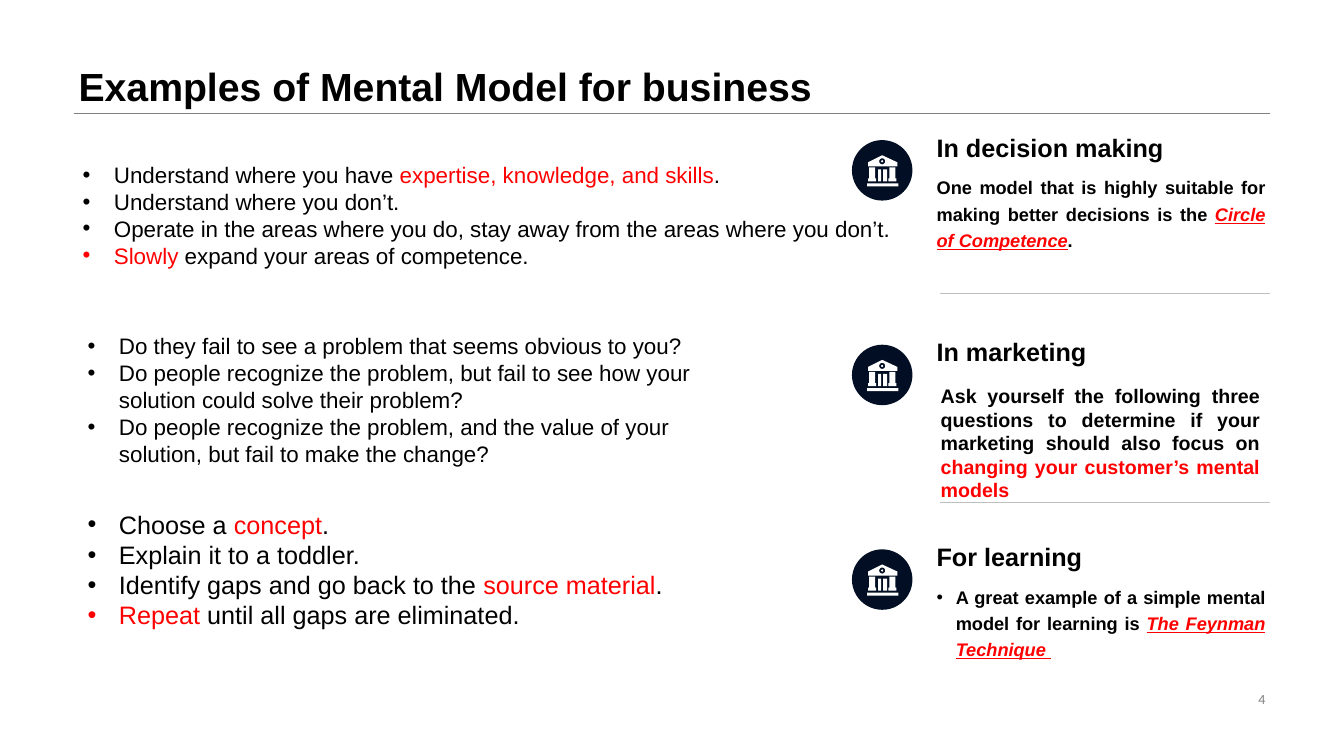
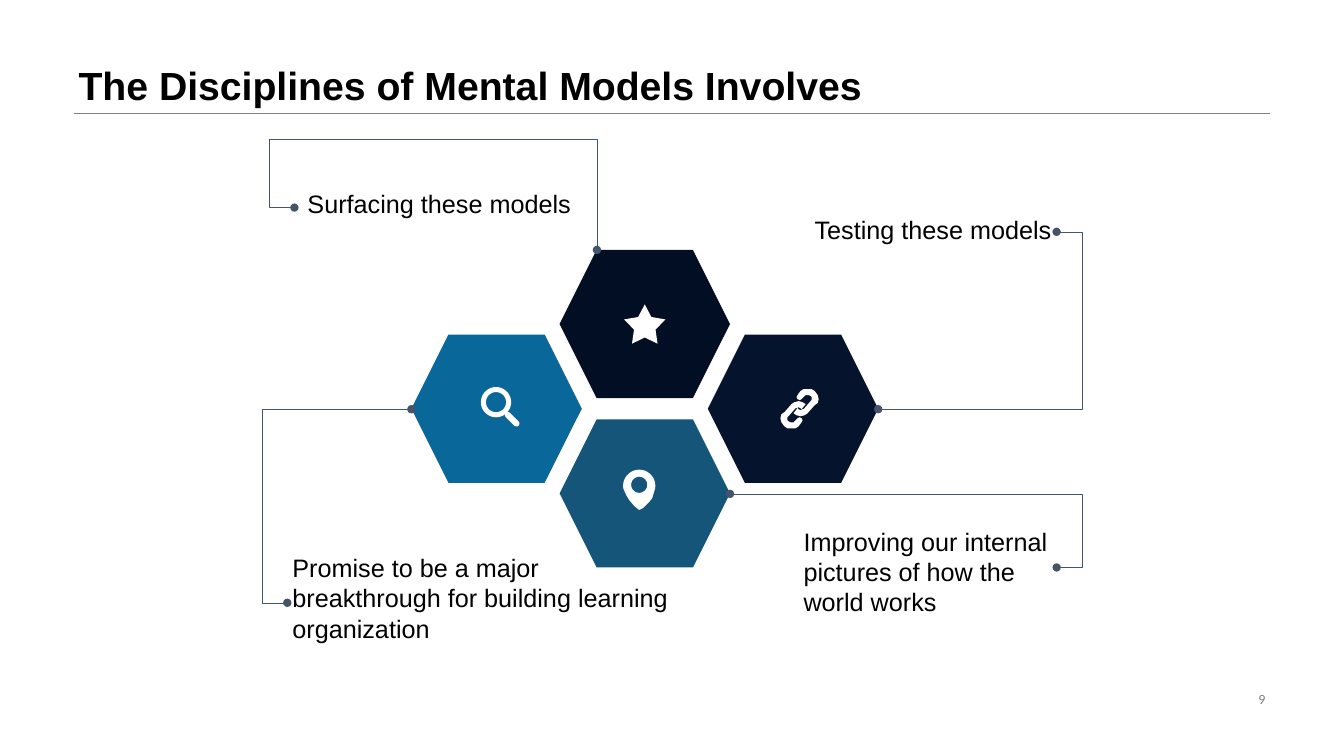
import math

from lxml import etree
from pptx import Presentation
from pptx.dml.color import RGBColor
from pptx.enum.shapes import MSO_CONNECTOR, MSO_SHAPE
from pptx.enum.text import MSO_ANCHOR, MSO_AUTO_SIZE, PP_ALIGN
from pptx.oxml.ns import qn
from pptx.util import Inches, Pt

BLACK = RGBColor(0x00, 0x00, 0x00)
WHITE = RGBColor(0xFF, 0xFF, 0xFF)
RED = RGBColor(0xFF, 0x00, 0x00)
GRAY = RGBColor(0x80, 0x80, 0x80)
LIGHT_GRAY = RGBColor(0xBF, 0xBF, 0xBF)
SLATE = RGBColor(0x44, 0x54, 0x6A)
NIGHT = RGBColor(0x01, 0x0E, 0x23)
NAVY = RGBColor(0x05, 0x13, 0x2C)
BLUE = RGBColor(0x0A, 0x67, 0x99)
TEAL = RGBColor(0x14, 0x55, 0x79)

LEFT, RIGHT = PP_ALIGN.LEFT, PP_ALIGN.RIGHT
JUSTIFY = PP_ALIGN.JUSTIFY
TOP, MIDDLE, BOTTOM = MSO_ANCHOR.TOP, MSO_ANCHOR.MIDDLE, MSO_ANCHOR.BOTTOM
OVAL, HEXAGON = MSO_SHAPE.OVAL, MSO_SHAPE.HEXAGON
STAR, ROUNDED = MSO_SHAPE.STAR_5_POINT, MSO_SHAPE.ROUNDED_RECTANGLE

HAIRLINE = Pt(0.25)
MARGIN_LEFT, MARGIN_RIGHT = 0.73, 12.6
RED_SPAN = {"color": RED}
RED_LINK = {"color": RED, "italic": True, "underline": True}


def add_bullet(para, indent):
    properties = para._p.get_or_add_pPr()
    properties.set("marL", str(Inches(indent)))
    properties.set("indent", str(-Inches(indent)))
    etree.SubElement(properties, qn("a:buFont"), typeface="Arial")
    etree.SubElement(properties, qn("a:buChar"), char="•")


def add_span(para, text, size, color, font="Arial", bold=False,
             italic=False, underline=False):
    span = para.add_run()
    span.text = text
    span.font.name = font
    span.font.size = Pt(size)
    span.font.color.rgb = color
    span.font.bold = bold
    span.font.italic = italic
    span.font.underline = underline


def add_text(slide, place, paragraphs, size=18, color=BLACK, align=LEFT,
             anchor=TOP, wrap=True, spacing=None, indent=None, **font_format):
    """Each paragraph is a string, or a list of (text, overrides) spans."""
    box = slide.shapes.add_textbox(*map(Inches, place))
    frame = box.text_frame
    frame.auto_size = MSO_AUTO_SIZE.NONE
    frame.word_wrap = wrap
    frame.vertical_anchor = anchor
    frame.margin_left = frame.margin_right = Inches(0.05)
    frame.margin_top = frame.margin_bottom = Inches(0.05)
    for number, spans in enumerate(paragraphs):
        para = frame.add_paragraph() if number else frame.paragraphs[0]
        para.alignment = align
        if spacing:
            para.line_spacing = spacing
        if indent:
            add_bullet(para, indent)
        if isinstance(spans, str):
            spans = [(spans, {})]
        for text, overrides in spans:
            add_span(para, text, **{"size": size, "color": color,
                                    **font_format, **overrides})


def add_rule(slide, left, y, color):
    rule = slide.shapes.add_connector(
        MSO_CONNECTOR.STRAIGHT, Inches(left), Inches(y),
        Inches(MARGIN_RIGHT), Inches(y))
    rule.line.color.rgb = color
    rule.line.width = HAIRLINE
    etree.SubElement(rule._element.spPr, qn("a:effectLst"))


def fill_plain(shape, color):
    shape.shadow.inherit = False
    shape.fill.solid()
    shape.fill.fore_color.rgb = color
    shape.line.fill.background()


def add_preset(slide, kind, place, color):
    shape = slide.shapes.add_shape(kind, *map(Inches, place))
    fill_plain(shape, color)
    return shape


def add_outline(slide, contours, closed=True):
    scaled = [[(Inches(x), Inches(y)) for x, y in contour]
              for contour in contours]
    builder = slide.shapes.build_freeform(*scaled[0][0], scale=1.0)
    for number, points in enumerate(scaled):
        if number:
            builder.move_to(*points[0])
        builder.add_line_segments(points[1:], close=closed)
    return builder.convert_to_shape()


def add_callout_line(slide, points):
    line = add_outline(slide, [points], closed=False)
    line.shadow.inherit = False
    line.fill.background()
    line.line.color.rgb = SLATE
    line.line.width = HAIRLINE
    for end in ("a:headEnd", "a:tailEnd"):
        etree.SubElement(line.line._get_or_add_ln(), qn(end), type="oval")


def arc(x, y, radius, start=0, stop=360, step=10):
    return [(x + radius * math.cos(math.radians(angle)),
             y + radius * math.sin(math.radians(angle)))
            for angle in range(start, stop, step)]


def rectangle(left, top, right, bottom):
    return [(left, top), (right, top), (right, bottom), (left, bottom)]


def shift(points, dx, dy):
    return [(x + dx, y + dy) for x, y in points]


def add_bank_icon(slide, left, top):
    pillar = [(0.22, 0.12), (0.28, 0.12), (0.28, 0.23), (0.29, 0.23),
              (0.29, 0.26), (0.21, 0.26), (0.21, 0.23), (0.22, 0.23)]
    roof = [(0.15, 0), (0.3, 0.07), (0.3, 0.11), (0.01, 0.11), (0.01, 0.07)]
    contours = [
        rectangle(0, 0.28, 0.31, 0.31),
        rectangle(0.16, 0.14, 0.2, 0.26),
        rectangle(0.11, 0.14, 0.14, 0.26),
        pillar,
        shift(pillar, -0.2, 0),
        roof,
        arc(0.15, 0.06, 0.03),
        arc(0.15, 0.06, 0.01),
    ]
    icon = add_outline(slide, [shift(c, left, top) for c in contours])
    fill_plain(icon, WHITE)


def add_magnifier_icon(slide):
    lens = add_outline(slide, [arc(4.92, 3.99, 0.15), arc(4.92, 3.99, 0.1)])
    fill_plain(lens, WHITE)
    handle = add_preset(slide, ROUNDED, (4.99, 4.13, 0.18, 0.06), WHITE)
    handle.adjustments[0] = 0.5
    handle.rotation = 45


def add_pin_icon(slide):
    tip = [(6.47, 4.94), (6.44, 4.98), (6.38, 5.04), (6.34, 5.06),
           (6.29, 5.02), (6.24, 4.96), (6.21, 4.91)]
    body = arc(6.34, 4.82, 0.16, 170, 380) + tip
    fill_plain(add_outline(slide, [body, arc(6.34, 4.81, 0.08)]), WHITE)


def add_chain_icon(slide):
    """The second link is the first one turned half round."""
    link = [
        (7.92, 3.98), (7.96, 3.99), (7.99, 4.01), (7.95, 4.06), (7.94, 4.05),
        (7.92, 4.04), (7.9, 4.05), (7.89, 4.05), (7.82, 4.13), (7.81, 4.14),
        (7.81, 4.17), (7.82, 4.18), (7.84, 4.19), (7.87, 4.19), (7.88, 4.18),
        (7.91, 4.15), (7.93, 4.14), (7.95, 4.15), (7.96, 4.17), (7.95, 4.19),
        (7.92, 4.23), (7.89, 4.25), (7.85, 4.25), (7.81, 4.25), (7.78, 4.23),
        (7.75, 4.19), (7.74, 4.15), (7.75, 4.11), (7.78, 4.09), (7.85, 4.01),
        (7.88, 3.99),
    ]
    turned = [(15.86 - x, 8.11 - y) for x, y in link]
    for points in (link, turned):
        fill_plain(add_outline(slide, [points]), WHITE)


def add_star_icon(slide):
    star = add_preset(slide, STAR, (6.19, 3.02, 0.41, 0.39), WHITE)
    star.adjustments[0] = 0.26


def add_page(deck, title, number, spacing=None):
    slide = deck.slides.add_slide(deck.slide_layouts[6])
    add_rule(slide, MARGIN_LEFT, 1.12, GRAY)
    add_text(slide, (MARGIN_LEFT, 0, 11.87, 1.13), [title], size=28,
             bold=True, anchor=BOTTOM, spacing=spacing)
    add_text(slide, (12.41, 6.81, 0.19, 0.25), [number], size=10, color=GRAY,
             font="Calibri", align=RIGHT, anchor=MIDDLE, wrap=False)
    return slide


def add_topic_heading(slide, top, heading):
    add_text(slide, (9.24, top, 2.37, 0.43), [heading], bold=True,
             anchor=BOTTOM, wrap=False)
    add_preset(slide, OVAL, (8.45, top + 0.16, 0.6, 0.6), NIGHT)
    add_bank_icon(slide, 8.6, top + 0.31)


def build_examples(deck):
    slide = add_page(deck, "Examples of Mental Model for business", "4")

    headings = ("In decision making", "In marketing", "For learning")
    for row, heading in enumerate(headings):
        add_topic_heading(slide, 1.23 + 2.03 * row, heading)
    for y in (2.91, 4.98):
        add_rule(slide, 9.32, y, LIGHT_GRAY)

    add_text(slide, (0.77, 1.55, 8.21, 1.7), [
        [("Understand where you have ", {}),
         ("expertise, knowledge, and skills", RED_SPAN), (".", {})],
        "Understand where you don’t.",
        "Operate in the areas where you do, stay away from the areas "
        "where you don’t.",
        [("Slowly", RED_SPAN), (" expand your areas of competence.", {})],
    ], size=16, indent=0.31, wrap=False)
    add_text(slide, (0.82, 3.25, 6.67, 1.42), [
        "Do they fail to see a problem that seems obvious to you?",
        "Do people recognize the problem, but fail to see how your "
        "solution could solve their problem?",
        "Do people recognize the problem, and the value of your "
        "solution, but fail to make the change?",
    ], size=16, indent=0.31)
    add_text(slide, (0.82, 5, 6.67, 1.32), [
        [("Choose a ", {}), ("concept", RED_SPAN), (".", {})],
        "Explain it to a toddler.",
        [("Identify gaps and go back to the ", {}),
         ("source material", RED_SPAN), (".", {})],
        [("Repeat", RED_SPAN), (" until all gaps are eliminated.", {})],
    ], indent=0.31)

    add_text(slide, (9.24, 1.66, 3.36, 1), [
        [("One model that is highly suitable for making better decisions "
          "is the ", {}), ("Circle of Competence", RED_LINK), (".", {})],
    ], size=13, bold=True, align=JUSTIFY, spacing=1.2)
    add_text(slide, (9.28, 3.76, 3.27, 1.2), [
        [("Ask yourself the following three questions to determine if your "
          "marketing should also focus on ", {}),
         ("changing your customer’s mental models", RED_SPAN)],
    ], size=14, bold=True, align=JUSTIFY)
    add_text(slide, (9.24, 5.72, 3.36, 1), [
        [("A great example of a simple mental model for learning is ", {}),
         ("The Feynman Technique ", RED_LINK)],
    ], size=13, bold=True, align=JUSTIFY, spacing=1.2, indent=0.19)


def build_disciplines(deck):
    slide = add_page(deck, "The Disciplines of Mental Models Involves", "9",
                     spacing=0.9)

    hexagons = ((0, 0, BLUE), (2, 0, NAVY), (1, 1, TEAL), (1, -1, NIGHT))
    for column, row, color in hexagons:
        place = (4.08 + 1.47 * column, 3.32 + 0.84 * row, 1.69, 1.47)
        add_preset(slide, HEXAGON, place, color)
    add_magnifier_icon(slide)
    add_chain_icon(slide)
    add_pin_icon(slide)
    add_star_icon(slide)

    callouts = (
        ([(2.92, 2.06), (2.67, 2.06), (2.67, 1.38), (5.92, 1.38),
          (5.92, 2.48)],
         (3, 1.8, 2.73, 0.42), ["Surfacing these models"]),
        ([(2.85, 5.98), (2.6, 5.98), (2.6, 4.06), (4.08, 4.06)],
         (2.85, 5.42, 3.91, 1.01),
         ["Promise to be a major", "breakthrough for building learning",
          "organization"]),
        ([(8.71, 4.06), (10.73, 4.06), (10.73, 2.3), (10.48, 2.3)],
         (8.03, 2.06, 2.46, 0.42), ["Testing these models"]),
        ([(7.24, 4.9), (10.73, 4.9), (10.73, 5.63), (10.48, 5.63)],
         (7.92, 5.12, 2.67, 1.05),
         ["Improving our internal", "pictures of how the", "world works"]),
    )
    for points, place, lines in callouts:
        add_callout_line(slide, points)
        add_text(slide, place, lines, anchor=BOTTOM, wrap=False)


def main():
    deck = Presentation()
    deck.slide_width = Inches(13.33)
    deck.slide_height = Inches(7.5)
    build_examples(deck)
    build_disciplines(deck)
    deck.save("out.pptx")


if __name__ == "__main__":
    main()
